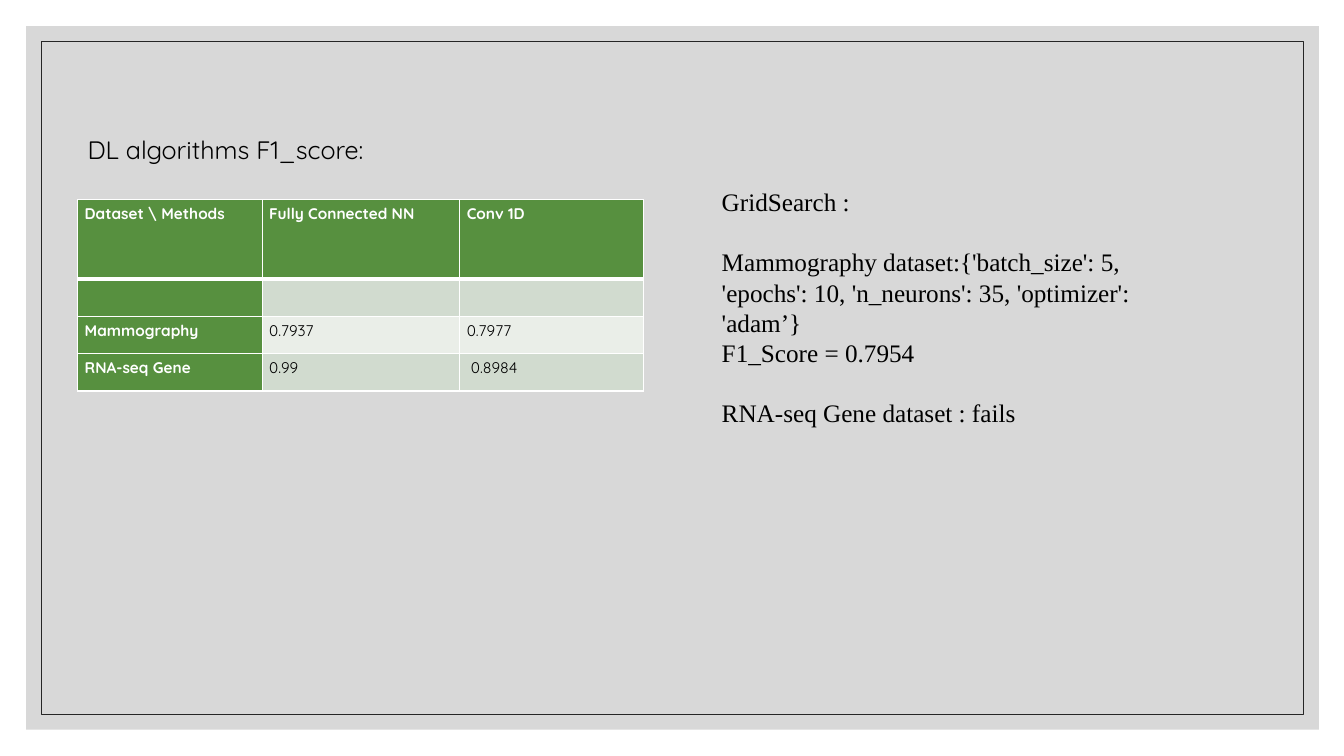
import pptx
import pptx.util
import pptx.dml.color
import pptx.enum.shapes
import pptx.enum.text
import pptx.oxml
import pptx.oxml.ns
import lxml.etree

Inches = pptx.util.Inches
Pt = pptx.util.Pt
qn = pptx.oxml.ns.qn

HUES = {
    "panel": "BFBFBF",
    "frame": "262626",
    "ink": "000000",
    "white": "FFFFFF",
    "green": "57903F",
    "dark": "D1DBCF",
    "light": "EAEEE8",
}
SANS = "Quicksand"
SERIF = "Times New Roman"

ROWS = [
    ["Dataset \\ Methods", "Fully Connected NN", "Conv 1D"],
    ["", "", ""],
    ["Mammography", "0.7937", "0.7977"],
    ["RNA-seq Gene", "0.99", " 0.8984"],
]
NOTES = [
    ("GridSearch :", 0),
    ("Mammography dataset:{'batch_size': 5, 'epochs': 10, "
     "'n_neurons': 35, 'optimizer': 'adam’}", 21.5),
    ("F1_Score = 0.7954", 0),
    ("RNA-seq Gene dataset : fails", 21.5),
]


def rgb(name):
    return pptx.dml.color.RGBColor.from_string(HUES[name])


def style(para, face, size, hue, bold=False):
    font = para.font
    font.name, font.size, font.bold = face, Pt(size), bold
    font.color.rgb = rgb(hue)


def add_rect(slide, box):
    shape = slide.shapes.add_shape(
        pptx.enum.shapes.MSO_SHAPE.RECTANGLE, *map(Inches, box))
    shape.shadow.inherit = False
    return shape


def draw_frame(slide, box, gap):
    left, top, width, height = box
    panel = add_rect(slide, box)
    panel.fill.solid()
    panel.fill.fore_color.rgb = rgb("panel")
    panel.line.fill.background()
    tint = panel.fill._xPr.find(qn("a:solidFill"))[0]
    lxml.etree.SubElement(tint, qn("a:alpha"), val="60000")
    frame = add_rect(slide, (left + gap, top + gap,
                             width - 2 * gap, height - 2 * gap))
    frame.fill.background()
    frame.line.color.rgb = rgb("frame")
    frame.line.width = Pt(0.5)


def draw_text(slide, box, items, face):
    frame = slide.shapes.add_textbox(*map(Inches, box)).text_frame
    frame.word_wrap = True
    frame.auto_size = pptx.enum.text.MSO_AUTO_SIZE.NONE
    for i, (text, space) in enumerate(items):
        para = frame.paragraphs[0] if i == 0 else frame.add_paragraph()
        para.text = text
        para.space_before = Pt(space)
        style(para, face, 18, "ink")


def add_edges(cell, row):
    props = cell._tc.get_or_add_tcPr()
    wide = {"T": 3 if row == 1 else 1, "B": 3 if row == 0 else 1}
    for side in "LRTB":
        line = lxml.etree.SubElement(
            props, qn("a:ln" + side), w=str(Pt(wide.get(side, 1))))
        fill = lxml.etree.SubElement(line, qn("a:solidFill"))
        lxml.etree.SubElement(fill, qn("a:srgbClr"), val=HUES["white"])


def draw_table(slide, box, widths, heights):
    table = slide.shapes.add_table(
        len(ROWS), len(widths), *map(Inches, box)).table
    for col, width in zip(table.columns, widths):
        col.width = Inches(width)
    for row, height in zip(table.rows, heights):
        row.height = Inches(height)
    for r, texts in enumerate(ROWS):
        for c, text in enumerate(texts):
            cell = table.cell(r, c)
            head = r == 0 or c == 0
            cell.margin_left = cell.margin_right = Inches(0.07)
            cell.margin_top = cell.margin_bottom = 0
            add_edges(cell, r)
            cell.fill.solid()
            band = "dark" if r % 2 else "light"
            cell.fill.fore_color.rgb = rgb("green" if head else band)
            para = cell.text_frame.paragraphs[0]
            para.text = text
            para.line_spacing = 1.25
            style(para, SANS, 11, "white" if head else "ink", head)


def draw_scores(slide, box):
    left, top, width, height = box
    draw_text(slide, (left, top, 8.88, 0.4),
              [("DL algorithms F1_score:", 0)], SANS)
    draw_table(slide, (left, top + 0.7, width, height - 0.7),
               [1.83, 1.96, 1.82], [0.79] + [0.37] * 3)


def main():
    deck = pptx.Presentation()
    deck.slide_width, deck.slide_height = Inches(13.33), Inches(7.5)
    slide = deck.slides.add_slide(deck.slide_layouts[6])
    draw_frame(slide, (0.26, 0.26, 12.82, 6.98), 0.15)
    draw_scores(slide, (0.77, 1.28, 5.61, 2.61))
    draw_text(slide, (7.06, 1.8, 4.89, 3.43), NOTES, SERIF)
    deck.save("out.pptx")


if __name__ == "__main__":
    main()
